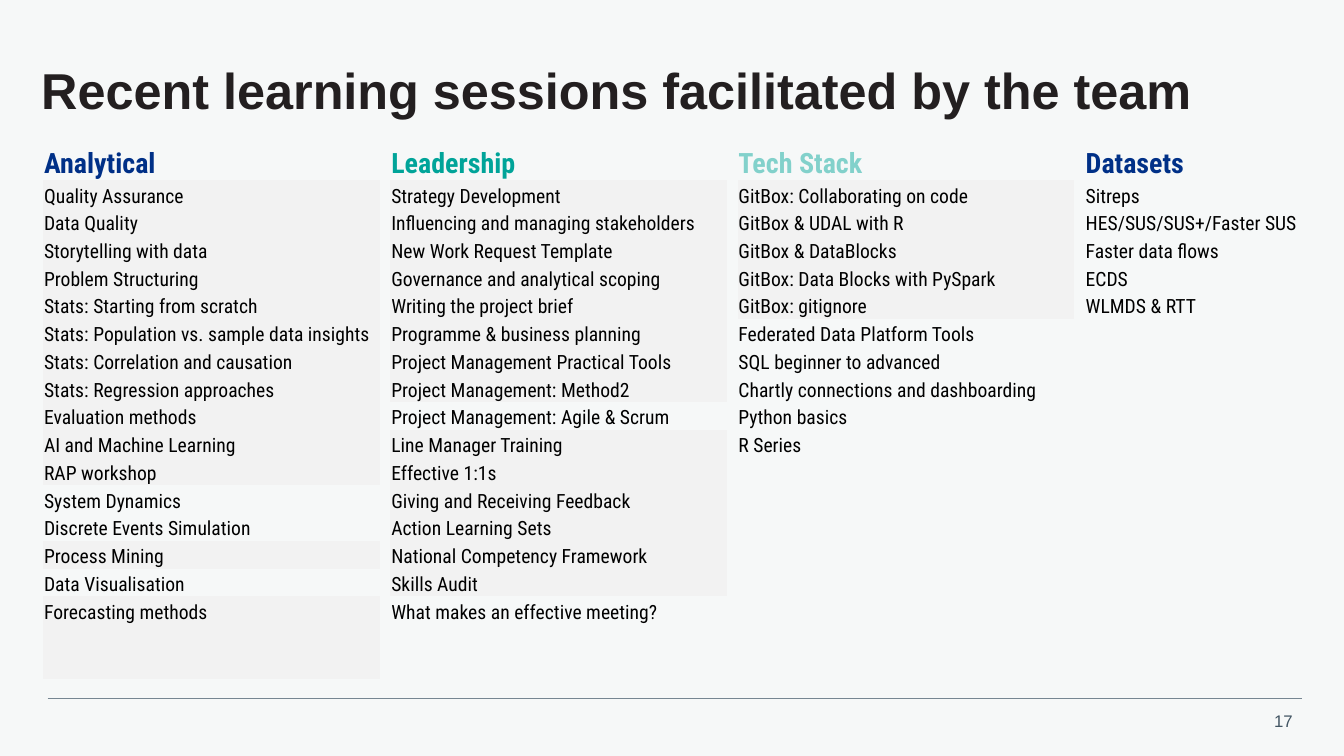
from lxml import etree
from pptx import Presentation
from pptx.dml.color import RGBColor
from pptx.enum.shapes import MSO_CONNECTOR
from pptx.enum.text import MSO_ANCHOR as ANCHOR, PP_ALIGN as ALIGN
from pptx.oxml.ns import qn
from pptx.util import Cm, Pt

COLORS = {
    "background": "F6F8F8", "title": "231F20", "text": "000000",
    "blue": "003087", "green": "00A499", "mint": "82D1CB",
    "shade": "F2F2F2", "rule": "768692", "number": "425563",
}
HEAD_FONT, TABLE_FONT = "Arial", "Roboto Condensed"
NO_STYLE = "{2D5ABB26-0587-4C30-8999-92F81FD0307C}"
SESSION_ROWS = 18
TOPIC_WIDTH, GAP_WIDTH, LAST_WIDTH = Cm(8.48), Cm(0.27), Cm(5.44)
HEADER_HEIGHT, ROW_HEIGHT = Cm(0.98), Cm(0.7)

# Each topic: heading, heading colour, shaded rows, sessions
TOPICS = [
    ("Analytical", "blue", {*range(1, 12), 14, 16, 17, 18}, [
        "Quality Assurance", "Data Quality", "Storytelling with data",
        "Problem Structuring", "Stats: Starting from scratch",
        "Stats: Population vs. sample data insights",
        "Stats: Correlation and causation", "Stats: Regression approaches",
        "Evaluation methods", "AI and Machine Learning", "RAP workshop",
        "System Dynamics", "Discrete Events Simulation", "Process Mining",
        "Data Visualisation", "Forecasting methods"]),
    ("Leadership", "green", {*range(1, 9), *range(10, 16)}, [
        "Strategy Development", "Influencing and managing stakeholders",
        "New Work Request Template", "Governance and analytical scoping",
        "Writing the project brief", "Programme & business planning",
        "Project Management Practical Tools", "Project Management: Method2",
        "Project Management: Agile & Scrum", "Line Manager Training",
        "Effective 1:1s", "Giving and Receiving Feedback",
        "Action Learning Sets", "National Competency Framework",
        "Skills Audit", "What makes an effective meeting?"]),
    ("Tech Stack", "mint", set(range(1, 6)), [
        "GitBox: Collaborating on code", "GitBox & UDAL with R",
        "GitBox & DataBlocks", "GitBox: Data Blocks with PySpark",
        "GitBox: gitignore", "Federated Data Platform Tools",
        "SQL beginner to advanced", "Chartly connections and dashboarding",
        "Python basics", "R Series"]),
    ("Datasets", "blue", set(), [
        "Sitreps", "HES/SUS/SUS+/Faster SUS", "Faster data flows", "ECDS",
        "WLMDS & RTT"]),
]


def rgb(name):
    return RGBColor.from_string(COLORS[name])


def add_run(p, text, size, color, font, bold=False):
    r = p.add_run()
    r.text = text
    r.font.size = Pt(size)
    r.font.name = font
    r.font.bold = bold
    r.font.color.rgb = rgb(color)


def add_text(s, box, text, size, color, bold=False, wrap=True,
             align=ALIGN.LEFT, spacing=1.0):
    tf = s.shapes.add_textbox(*map(Cm, box)).text_frame
    tf.word_wrap = wrap
    tf.vertical_anchor = ANCHOR.MIDDLE
    tf.margin_left = tf.margin_right = tf.margin_top = tf.margin_bottom = 0
    p = tf.paragraphs[0]
    p.alignment = align
    p.line_spacing = spacing
    add_run(p, text, size, color, HEAD_FONT, bold)


def add_rule(s, x1, x2, y):
    line = s.shapes.add_connector(
        MSO_CONNECTOR.STRAIGHT, Cm(x1), Cm(y), Cm(x2), Cm(y))
    line.line.color.rgb = rgb("rule")
    line.line.width = Pt(0.5)
    etree.SubElement(line._element.spPr, qn("a:effectLst"))


def format_cell(cell, shaded):
    cell.vertical_anchor = ANCHOR.BOTTOM
    cell.margin_left = cell.margin_right = cell.margin_top = Cm(0.02)
    cell.margin_bottom = 0
    if shaded:
        cell.fill.solid()
        cell.fill.fore_color.rgb = rgb("shade")
    else:
        cell.fill.background()
    # Keeps empty cells from stretching their row
    p = cell.text_frame.paragraphs[0]
    etree.SubElement(p._p, qn("a:endParaRPr")).set("sz", "1400")


def add_sessions_table(s, left, top):
    column_count = 2 * len(TOPICS) - 1
    widths = [GAP_WIDTH if i % 2 else TOPIC_WIDTH for i in range(column_count)]
    widths[-1] = LAST_WIDTH
    height = HEADER_HEIGHT + SESSION_ROWS * ROW_HEIGHT
    table = s.shapes.add_table(SESSION_ROWS + 1, column_count, Cm(left),
                               Cm(top), sum(widths), height).table
    table.first_row = table.horz_banding = False
    table._tbl.tblPr.find(qn("a:tableStyleId")).text = NO_STYLE

    for column, width in zip(table.columns, widths):
        column.width = width
    for i, row in enumerate(table.rows):
        row.height = ROW_HEIGHT if i else HEADER_HEIGHT
        for j, cell in enumerate(row.cells):
            format_cell(cell, j % 2 == 0 and i in TOPICS[j // 2][2])

    # Headings and sessions go in every second column
    for j, (heading, color, _, sessions) in enumerate(TOPICS):
        p = table.cell(0, 2 * j).text_frame.paragraphs[0]
        add_run(p, heading, 20, color, TABLE_FONT, bold=True)
        for i, session in enumerate(sessions, 1):
            p = table.cell(i, 2 * j).text_frame.paragraphs[0]
            add_run(p, session, 14, "text", TABLE_FONT)


def main():
    prs = Presentation()
    prs.slide_width, prs.slide_height = Cm(33.87), Cm(19.05)
    s = prs.slides.add_slide(prs.slide_layouts[6])
    s.background.fill.solid()
    s.background.fill.fore_color.rgb = rgb("background")

    # Footer
    add_text(s, (31.8, 17.78, 0.78, 0.76), "17", 12, "number", wrap=False,
             align=ALIGN.RIGHT)
    add_rule(s, 1.2, 32.8, 17.6)

    # Title and table
    add_text(s, (1.04, 1.14, 31.67, 2.41),
             "Recent learning sessions facilitated by the team", 36, "title",
             bold=True, spacing=0.9)
    add_sessions_table(s, 1.09, 3.56)

    prs.save("out.pptx")


if __name__ == "__main__":
    main()
